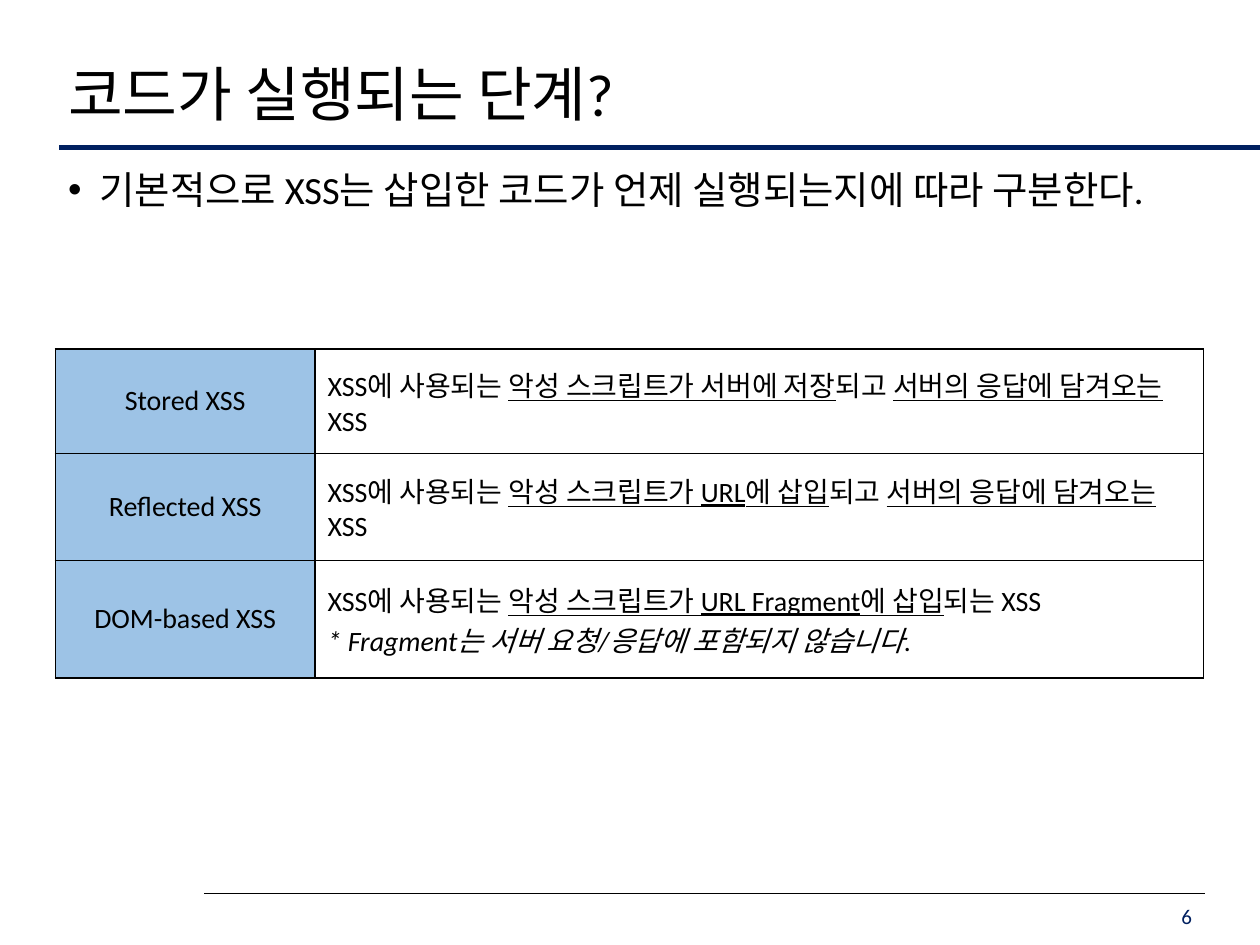
from dataclasses import dataclass

from lxml import etree
from pptx import Presentation
from pptx.dml.color import RGBColor
from pptx.enum.shapes import MSO_CONNECTOR
from pptx.enum.text import MSO_ANCHOR, MSO_AUTO_SIZE, PP_ALIGN
from pptx.oxml.ns import qn
from pptx.util import Inches, Pt

LEFT, CENTER, RIGHT = PP_ALIGN.LEFT, PP_ALIGN.CENTER, PP_ALIGN.RIGHT
TOP, MIDDLE, BOTTOM = MSO_ANCHOR.TOP, MSO_ANCHOR.MIDDLE, MSO_ANCHOR.BOTTOM
NO_FIT = MSO_AUTO_SIZE.NONE
STRAIGHT = MSO_CONNECTOR.STRAIGHT


@dataclass(frozen=True)
class Theme:
    font: str = "Calibri"
    ink: str = "000000"
    navy: str = "002060"
    label: str = "9DC3E6"
    title: int = 34
    body: int = 22
    cell: int = 16
    number: int = 12


T = Theme()
LEFT_EDGE, CONTENT_W = 0.44, 9.11
COLS = [2.06, 7.05]
ROWS = [0.83, 0.85, 0.93]
U, I = {"underline": True}, {"italic": True}
INTRO = ("XSS에 사용되는 ", {})
ENDING = [("되고 ", {}), ("서버의 응답에 담겨오는", U), (" XSS", {})]
KINDS = [
    ("Stored XSS", [[INTRO, ("악성 스크립트가 서버에 저장", U), *ENDING]]),
    ("Reflected XSS", [[INTRO, ("악성 스크립트가 URL에 삽입", U), *ENDING]]),
    ("DOM-based XSS", [
        [INTRO, ("악성 스크립트가 URL Fragment에 삽입", U), ("되는 XSS", {})],
        [("* Fragment는 서버 요청/응답에 포함되지 않습니다.", I)],
    ]),
]


def rgb(color):
    return RGBColor.from_string(color)


def write(p, text, size=T.cell, color=T.ink, align=LEFT, **style):
    p.alignment = align
    r = p.add_run()
    r.text = text
    r.font.name, r.font.size = T.font, Pt(size)
    r.font.color.rgb = rgb(color)
    for name, value in style.items():
        setattr(r.font, name, value)


def place(sp, x, y, w, h, anchor=TOP):
    sp.left, sp.top, sp.width, sp.height = map(Inches, (x, y, w, h))
    tf = sp.text_frame
    tf.word_wrap = True
    tf.auto_size = NO_FIT
    tf.vertical_anchor = anchor
    return tf.paragraphs[0]


def add_bullet(p, indent):
    pPr = p._p.get_or_add_pPr()
    pPr.set("marL", str(Inches(indent)))
    pPr.set("indent", str(-Inches(indent)))
    etree.SubElement(pPr, qn("a:buFont"), typeface="Arial")
    etree.SubElement(pPr, qn("a:buChar"), char="•")


def add_rule(s, x1, x2, y, color, width):
    line = s.shapes.add_connector(STRAIGHT, *map(Inches, (x1, y, x2, y)))
    line.line.color.rgb = rgb(color)
    line.line.width = Pt(width)
    etree.SubElement(line._element.spPr, qn("a:effectLst"))


def set_borders(cell, color, width):
    tcPr = cell._tc.get_or_add_tcPr()
    for i, side in enumerate(("lnL", "lnR", "lnT", "lnB")):
        ln = etree.Element(qn(f"a:{side}"), w=str(Pt(width)))
        fill = etree.SubElement(ln, qn("a:solidFill"))
        etree.SubElement(fill, qn("a:srgbClr"), val=color)
        tcPr.insert(i, ln)


def add_kinds_table(s, x, y):
    frame = s.shapes.add_table(len(ROWS), len(COLS), *map(Inches, (x, y, sum(COLS), sum(ROWS))))
    table = frame.table
    table.first_row = table.horz_banding = False
    for col, w in zip(table.columns, COLS):
        col.width = Inches(w)
    for row, h, (name, lines) in zip(table.rows, ROWS, KINDS):
        row.height = Inches(h)
        label, detail = row.cells
        label.fill.solid()
        label.fill.fore_color.rgb = rgb(T.label)
        detail.fill.background()
        write(label.text_frame.paragraphs[0], name, align=CENTER)
        tf = detail.text_frame
        for i, runs in enumerate(lines):
            p = tf.add_paragraph() if i else tf.paragraphs[0]
            for text, style in runs:
                write(p, text, **style)
        for cell in row.cells:
            cell.vertical_anchor = MIDDLE
            set_borders(cell, T.ink, 1)


def main():
    prs = Presentation()
    prs.slide_width, prs.slide_height = Inches(10), Inches(7.5)
    s = prs.slides.add_slide(prs.slide_layouts[1])

    add_rule(s, 1.62, 9.56, 7.09, T.ink, 0.75)
    add_rule(s, 0.47, 10, 1.17, T.navy, 3)

    p = place(s.shapes.title, LEFT_EDGE, 0.38, CONTENT_W, 0.7, BOTTOM)
    p.line_spacing = 0.9
    write(p, "코드가 실행되는 단계?", T.title)

    p = place(s.placeholders[1], LEFT_EDGE, 1.27, CONTENT_W, 5.59)
    p.space_before = Pt(10)
    add_bullet(p, 0.25)
    write(p, "기본적으로 XSS는 삽입한 코드가 언제 실행되는지에 따라 구분한다.", T.body)

    number = s.shapes.add_textbox(0, 0, 0, 0)
    p = place(number, 9.02, 7.09, 0.54, 0.36, MIDDLE)
    write(p, "6", T.number, T.navy, RIGHT)

    add_kinds_table(s, LEFT_EDGE, 2.77)
    prs.save("out.pptx")


if __name__ == "__main__":
    main()
